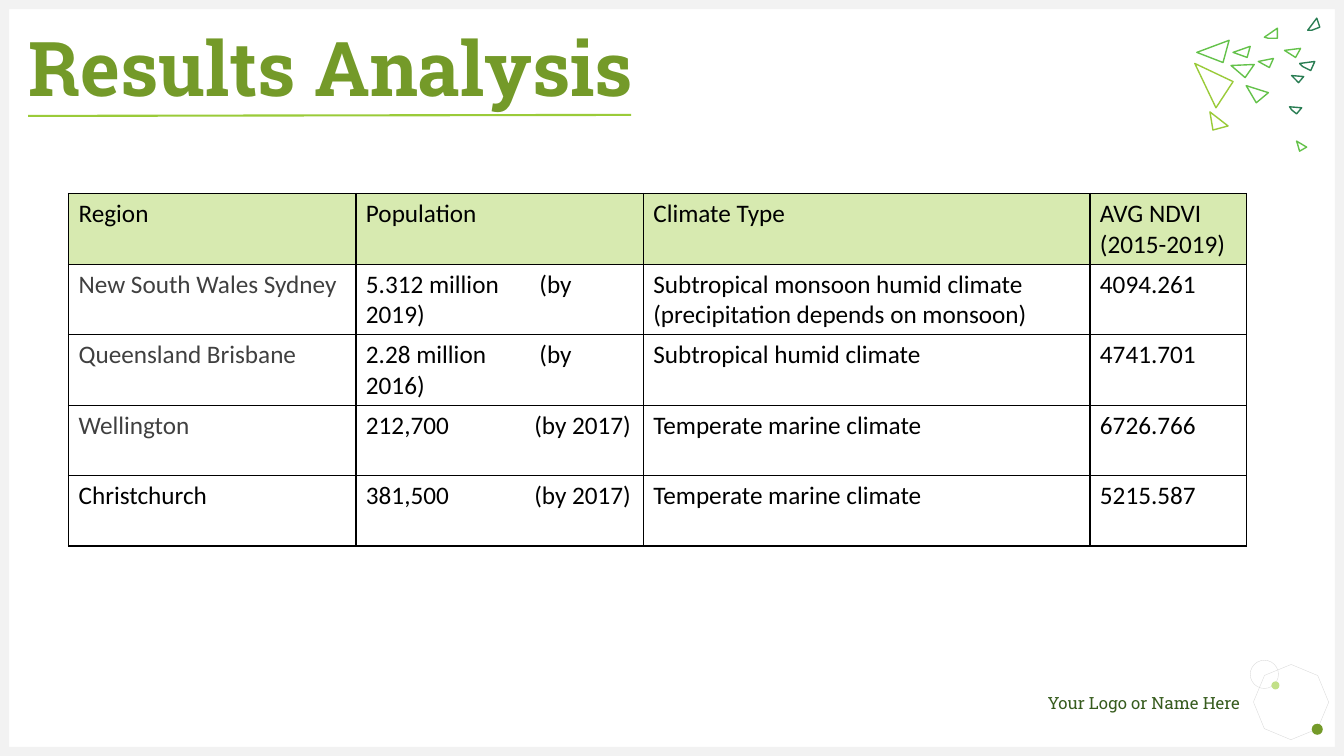
from lxml import etree
from pptx import Presentation
from pptx import util as u
from pptx.dml.color import RGBColor
from pptx.enum import shapes, text
from pptx.oxml import ns

OLIVE = RGBColor(0x74, 0x9A, 0x29)
LIME = RGBColor(0x9A, 0xCB, 0x39)
LEAF = RGBColor(0x64, 0xC2, 0x4A)
PINE = RGBColor(0x29, 0x7D, 0x53)
PALE_LIME = RGBColor(0xC2, 0xE0, 0x88)
HEADER_GREEN = RGBColor(0xD7, 0xEA, 0xB0)
DARK_GREEN = RGBColor(0x37, 0x5C, 0x1E)
FRAME_GREY = RGBColor(0xF2, 0xF2, 0xF2)
RING_GREY = RGBColor(0xD9, 0xD9, 0xD9)
CHARCOAL = RGBColor(0x40, 0x40, 0x40)
BLACK = RGBColor(0, 0, 0)

TITLE_FONT = {"name": "Roboto Slab", "size": u.Pt(54), "bold": True}
FOOTER_FONT = {"name": "Roboto Slab", "size": u.Pt(12)}
TABLE_FONT = {"name": "Calibri", "size": u.Pt(18), "bold": False}
FLUSH = {"margin_left": 0, "margin_top": 0, "margin_right": 0, "margin_bottom": 0, "word_wrap": True}

SHARDS = [
    (LEAF, [(39, 30), (33, 52), (7, 42)]),
    (LEAF, [(64, 54), (55, 67), (41, 55)]),
    (LEAF, [(60, 36), (57, 47), (43, 42)]),
    (LEAF, [(83, 48), (79, 57), (68, 51)]),
    (LEAF, [(87, 18), (87, 28), (78, 28), (74, 27)]),
    (PINE, [(113, 66), (108, 72), (103, 67), (101, 65)]),
    (PINE, [(126, 8), (129, 17), (121, 20), (117, 20)]),
    (LEAF, [(110, 38), (105, 47), (94, 40)]),
    (PINE, [(124, 51), (120, 60), (112, 56), (109, 53)]),
    (LIME, [(43, 71), (26, 97), (5, 53)]),
    (LEAF, [(78, 82), (66, 92), (56, 75)]),
    (PINE, [(111, 97), (106, 103), (101, 99), (99, 96)]),
    (LIME, [(38, 115), (23, 119), (20, 101)]),
    (LEAF, [(116, 136), (109, 140), (107, 133), (106, 130)]),
]

COLUMN_WIDTHS = [2.85, 2.85, 4.43, 1.55]
REGIONS = [
    ["Region", "Population", "Climate Type", "AVG NDVI\n(2015-2019)"],
    ["New South Wales Sydney", "5.312\u00a0million\t(by 2019)",
     "Subtropical monsoon humid climate\n(precipitation depends on monsoon)", "4094.261"],
    ["Queensland Brisbane", "2.28\u00a0million\t(by 2016)", "Subtropical humid climate", "4741.701"],
    ["Wellington", "212,700\t(by 2017)", "Temperate marine climate", "6726.766"],
    ["Christchurch", "381,500\t(by 2017)", "Temperate marine climate", "5215.587"],
]


def apply(target, values):
    """Set every attribute in a dict of format values."""
    for key, value in values.items():
        setattr(target, key, value)


def inches(*lengths):
    """Convert several lengths to inches."""
    return [u.Inches(length) for length in lengths]


def paint(shape, fill=None, line=None, width=1):
    """Give a shape its fill and outline, without shadow."""
    shape.shadow.inherit = False
    for part, colour in ((shape.fill, fill), (shape.line.fill, line)):
        if colour is None:
            part.background()
        else:
            part.solid()
            part.fore_color.rgb = colour
    if line is not None:
        shape.line.width = u.Pt(width)


def add_frame(slide, left, top, width, height, bar=0.09):
    """Draw the four grey bars around the slide."""
    for box in (
        (left, top, width, bar),
        (left, top + height - bar, width, bar),
        (left, top, bar, height),
        (left + width - bar, top, bar, height),
    ):
        paint(slide.shapes.add_shape(shapes.MSO_SHAPE.RECTANGLE, *inches(*box)), FRAME_GREY)


def add_footer(slide, left, top, width, height):
    """Place the name line and the round ornament at its right."""
    name = slide.shapes.add_textbox(*inches(left, top + 0.32, width - 0.85, 0.2)).text_frame
    apply(name, FLUSH)
    line = name.paragraphs[0]
    line.text = "Your Logo or Name Here"
    line.alignment = text.PP_ALIGN.RIGHT
    apply(line.font, FOOTER_FONT)
    line.font.color.rgb = DARK_GREEN

    right = left + width
    octagon = slide.shapes.add_shape(
        shapes.MSO_SHAPE.OCTAGON, *inches(right - 0.69, top + height - 0.69, 0.69, 0.69))
    octagon.rotation = 22.7
    paint(octagon, None, RING_GREY, 0.25)
    for dx, dy, size, fill, ring in (
        (0.75, 0, 0.28, None, RING_GREY),
        (0.54, 0.21, 0.08, PALE_LIME, None),
        (0.14, 0.63, 0.11, OLIVE, None),
    ):
        dot = slide.shapes.add_shape(
            shapes.MSO_SHAPE.OVAL, *inches(right - dx, top + dy, size, size))
        paint(dot, fill, ring, 0.25)


def add_shards(slide, left, top):
    """Scatter the outlined triangles, given in hundredths of an inch."""
    for colour, corners in SHARDS:
        outline = slide.shapes.build_freeform(*corners[0], scale=u.Inches(0.01))
        outline.add_line_segments(corners[1:], close=True)
        paint(outline.convert_to_shape(*inches(left, top)), None, colour)


def add_title(slide, left, top, width, height):
    """Place the title and the line under it."""
    title = slide.shapes.title
    apply(title, dict(zip(("left", "top", "width", "height"), inches(left, top, width, height))))
    frame = title.text_frame
    frame.text = "Results Analysis"
    apply(frame, {"word_wrap": True, "auto_size": text.MSO_AUTO_SIZE.NONE,
                  "vertical_anchor": text.MSO_ANCHOR.MIDDLE})
    heading = frame.paragraphs[0]
    heading.alignment = text.PP_ALIGN.LEFT
    apply(heading.font, TITLE_FONT)
    heading.font.color.rgb = OLIVE

    underline = slide.shapes.add_connector(
        shapes.MSO_CONNECTOR.STRAIGHT,
        *inches(left + 0.1, top + height - 0.01, left + 6.08, top + height - 0.02))
    underline.line.color.rgb = LIME
    underline.line.width = u.Pt(1.5)
    etree.SubElement(underline._element.spPr, ns.qn("a:effectLst"))


def add_borders(cell):
    """Draw thin black lines on all four sides of a cell."""
    properties = cell._tc.get_or_add_tcPr()
    for side in ("lnL", "lnR", "lnT", "lnB"):
        border = etree.SubElement(properties, ns.qn(f"a:{side}"), w=str(u.Pt(1)))
        solid = etree.SubElement(border, ns.qn("a:solidFill"))
        etree.SubElement(solid, ns.qn("a:srgbClr"), val=str(BLACK))


def add_tab(paragraph, position):
    """Set a left tab stop in a paragraph."""
    stops = etree.SubElement(paragraph._p.get_or_add_pPr(), ns.qn("a:tabLst"))
    etree.SubElement(stops, ns.qn("a:tab"), pos=str(u.Inches(position)), algn="l")


def add_regions(slide, left, top, width, height):
    """Build the table of regions, climates and NDVI values."""
    table = slide.shapes.add_table(
        len(REGIONS), len(COLUMN_WIDTHS), *inches(left, top, width, height)).table
    apply(table, {"first_row": False, "horz_banding": False})
    for column, column_width in zip(table.columns, COLUMN_WIDTHS):
        column.width = u.Inches(column_width)
    for r, region in enumerate(REGIONS):
        for c, content in enumerate(region):
            cell = table.cell(r, c)
            add_borders(cell)
            if r == 0:
                cell.fill.solid()
                cell.fill.fore_color.rgb = HEADER_GREEN
            else:
                cell.fill.background()
            cell.text = content
            for paragraph in cell.text_frame.paragraphs:
                if "\t" in content:
                    add_tab(paragraph, 1.72 if "million" in content else 1.67)
                apply(paragraph.font, TABLE_FONT)
                paragraph.font.color.rgb = CHARCOAL if c == 0 and r in (1, 2, 3) else BLACK


def main():
    """Build and save the results slide."""
    deck = Presentation()
    deck.slide_width, deck.slide_height = inches(13.33, 7.5)
    slide = deck.slides.add_slide(deck.slide_layouts[5])
    add_footer(slide, 9.55, 6.55, 3.6, 0.76)
    add_frame(slide, 0, 0, 13.33, 7.5)
    add_shards(slide, 11.8, 0.1)
    add_title(slide, 0.18, 0.15, 6.78, 1.01)
    add_regions(slide, 0.68, 1.92, 11.68, 3.49)
    deck.save("out.pptx")


if __name__ == "__main__":
    main()
